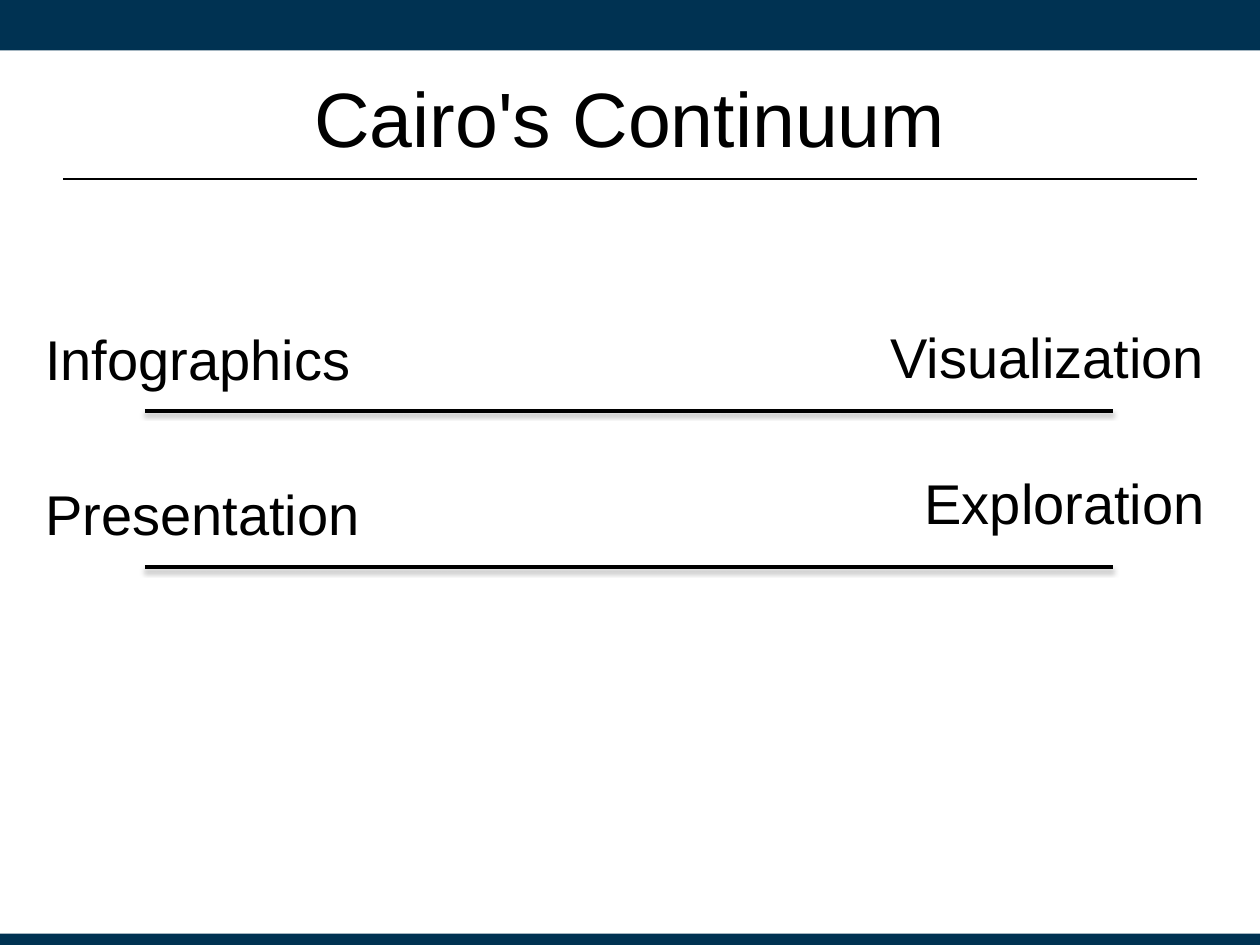
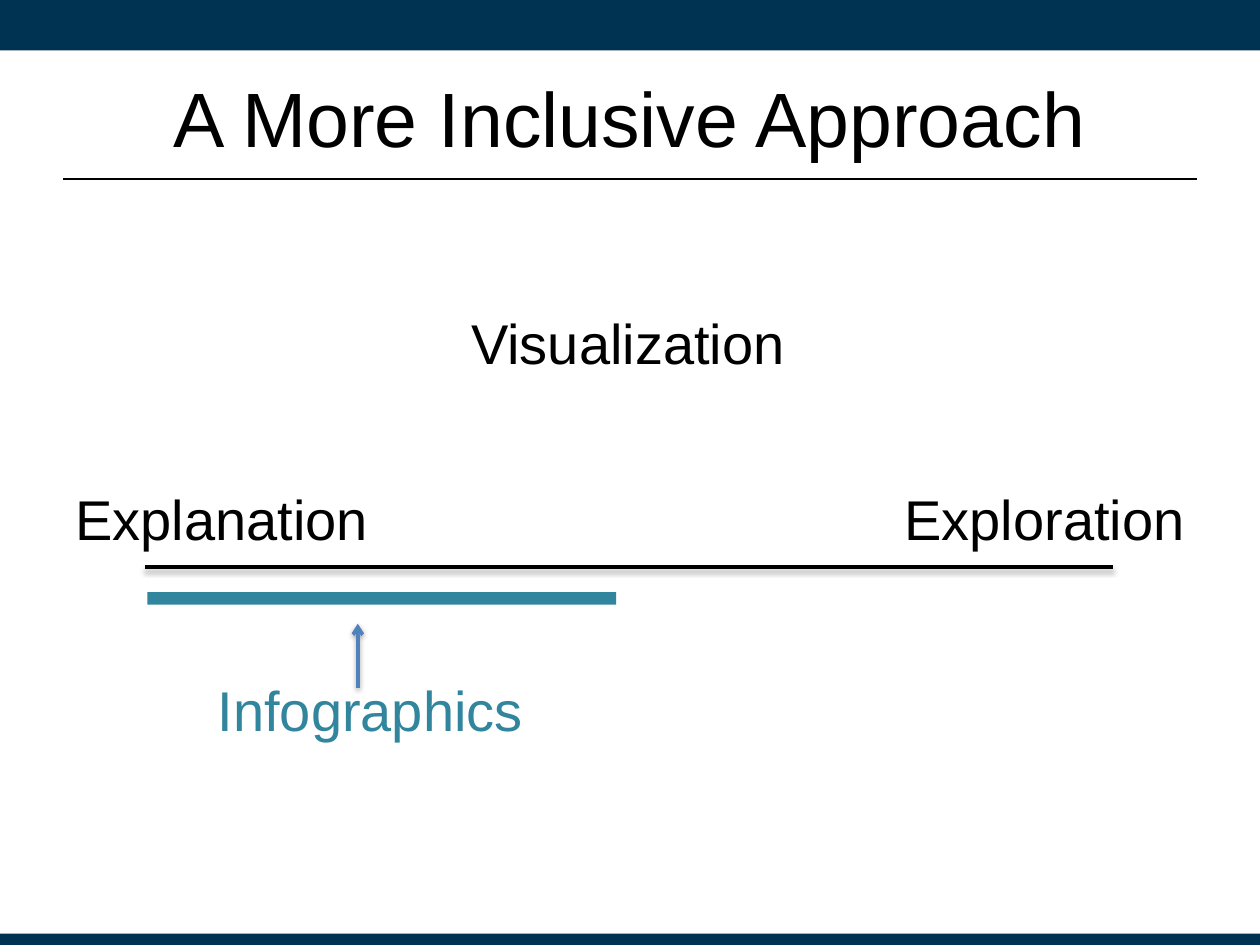
from lxml.etree import SubElement
from pptx import Presentation
from pptx.dml.color import RGBColor
from pptx.enum.shapes import MSO_CONNECTOR as Connector, MSO_SHAPE as Shape
from pptx.enum.text import MSO_ANCHOR as Anchor, MSO_AUTO_SIZE as AutoSize, PP_ALIGN as Align
from pptx.oxml.ns import qn
from pptx.util import Inches, Pt

NAVY = RGBColor(0x00, 0x32, 0x52)
BLACK = RGBColor(0x00, 0x00, 0x00)
TEAL = RGBColor(0x31, 0x85, 0x9C)
BLUE = RGBColor(0x4F, 0x81, 0xBD)
FONT = "Arial"

WIDTH, HEIGHT = 10, 7.5
MARGIN = 0.05 * WIDTH
AXIS_LEFT, AXIS_RIGHT = 1.15, 8.83
UPPER_AXIS, LOWER_AXIS = 3.26, 4.5
LABEL_HEIGHT = 0.64

# Content: labels are (text, left, top, width, colour, alignment)
SLIDES = [
    {
        "title": "Cairo's Continuum",
        "axes": [UPPER_AXIS, LOWER_AXIS],
        "labels": [
            ("Infographics", 0.26, 2.53, 2.64, BLACK, Align.LEFT),
            ("Visualization", 6.97, 2.51, 2.71, BLACK, Align.LEFT),
            ("Presentation", 0.26, 3.76, 2.72, BLACK, Align.LEFT),
            ("Exploration", 7.24, 3.67, 2.44, BLACK, Align.LEFT),
        ],
    },
    {
        "title": "A More Inclusive Approach",
        "axes": [LOWER_AXIS],
        "labels": [
            ("Explanation", 0.5, 3.8, 2.54, BLACK, Align.LEFT),
            ("Exploration", 7.08, 3.8, 2.44, BLACK, Align.LEFT),
            ("Visualization", 3.63, 2.4, 2.71, BLACK, Align.CENTER),
            ("Infographics", 1.63, 5.31, 2.64, TEAL, Align.LEFT),
        ],
        "range_bar": (1.17, 4.7, 3.72, 0.1),
        "pointer": (2.84, 5.46, 2.84, 4.95),
    },
]


def add_bar(page, bounds, colour):
    bar = page.shapes.add_shape(Shape.RECTANGLE, *map(Inches, bounds))
    bar.shadow.inherit = False
    bar.fill.solid()
    bar.fill.fore_color.rgb = colour
    bar.line.fill.background()


def add_line(page, ends, colour, weight, shadow=False, arrow=False):
    line = page.shapes.add_connector(Connector.STRAIGHT, *map(Inches, ends))
    line.line.color.rgb = colour
    line.line.width = Pt(weight)
    properties = line._element.spPr
    if arrow:
        SubElement(properties.find(qn("a:ln")), qn("a:tailEnd"), type="arrow")
    effects = SubElement(properties, qn("a:effectLst"))
    if shadow:
        outer = SubElement(effects, qn("a:outerShdw"), blurRad="40000", dist="20000",
                           dir="5400000", rotWithShape="0")
        tint = SubElement(outer, qn("a:srgbClr"), val=str(BLACK))
        SubElement(tint, qn("a:alpha"), val="38000")


def write(frame, text, size, colour, align):
    para = frame.paragraphs[0]
    para.alignment = align
    span = para.add_run()
    span.text = text
    span.font.name = FONT
    span.font.size = Pt(size)
    span.font.color.rgb = colour


def add_label(page, text, left, top, width, colour, align):
    box = page.shapes.add_textbox(*map(Inches, (left, top, width, LABEL_HEIGHT)))
    box.text_frame.word_wrap = False
    box.text_frame.auto_size = AutoSize.SHAPE_TO_FIT_TEXT
    write(box.text_frame, text, 32, colour, align)


def add_page(deck, title_text):
    """Start a slide with the shared bands, title and rule."""
    page = deck.slides.add_slide(deck.slide_layouts[5])
    add_bar(page, (0, 0, WIDTH, 0.4), NAVY)
    add_bar(page, (0, 7.41, WIDTH, 0.1), NAVY)
    add_line(page, (MARGIN, 1.42, WIDTH - MARGIN, 1.42), BLACK, 1.25)
    title = page.shapes.title
    title.left, title.top = Inches(MARGIN), Inches(0.3)
    title.width, title.height = Inches(WIDTH - 2 * MARGIN), Inches(1.25)
    title.text_frame.vertical_anchor = Anchor.MIDDLE
    write(title.text_frame, title_text, 44, BLACK, Align.CENTER)
    return page


def main():
    deck = Presentation()
    deck.slide_width, deck.slide_height = Inches(WIDTH), Inches(HEIGHT)
    for content in SLIDES:
        page = add_page(deck, content["title"])
        for level in content["axes"]:
            add_line(page, (AXIS_LEFT, level, AXIS_RIGHT, level), BLACK, 2, shadow=True)
        for label in content["labels"]:
            add_label(page, *label)
        # Part of the axis that infographics cover
        if "range_bar" in content:
            add_bar(page, content["range_bar"], TEAL)
        if "pointer" in content:
            add_line(page, content["pointer"], BLUE, 2, shadow=True, arrow=True)
    deck.save("out.pptx")


if __name__ == "__main__":
    main()
